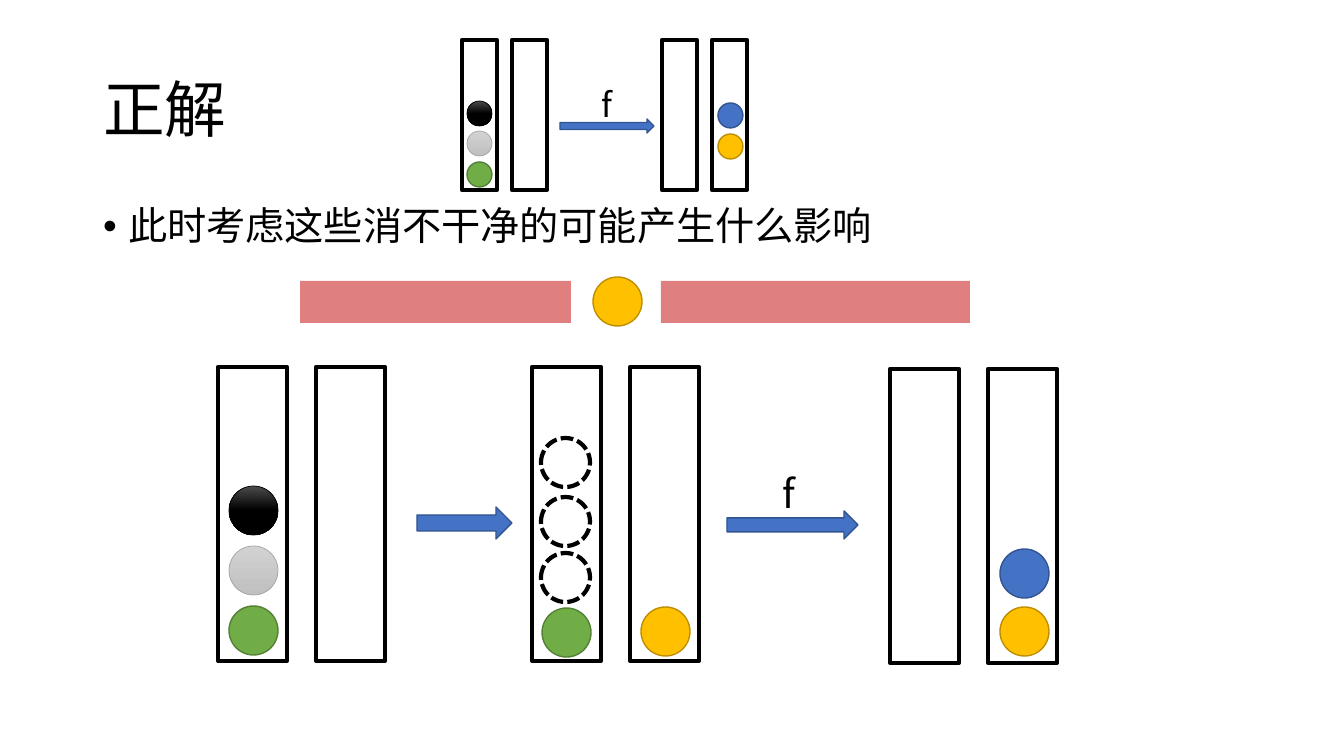
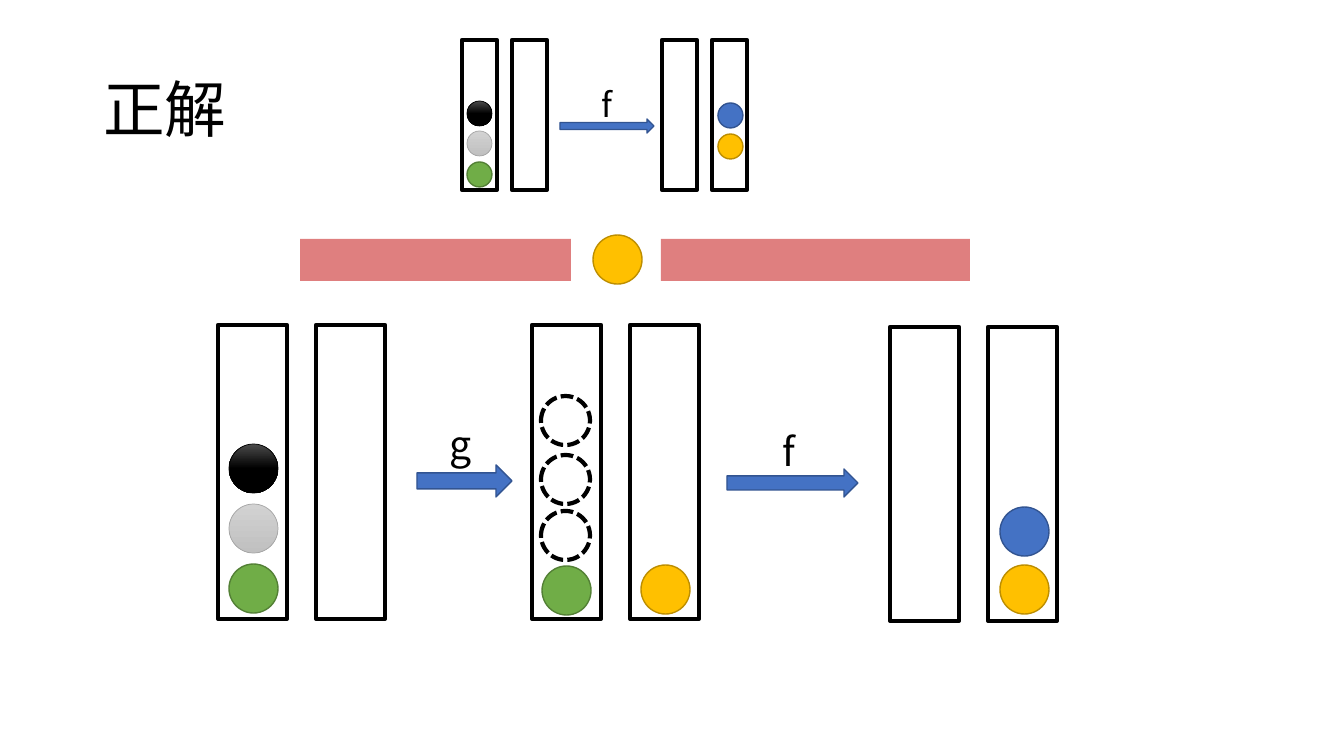
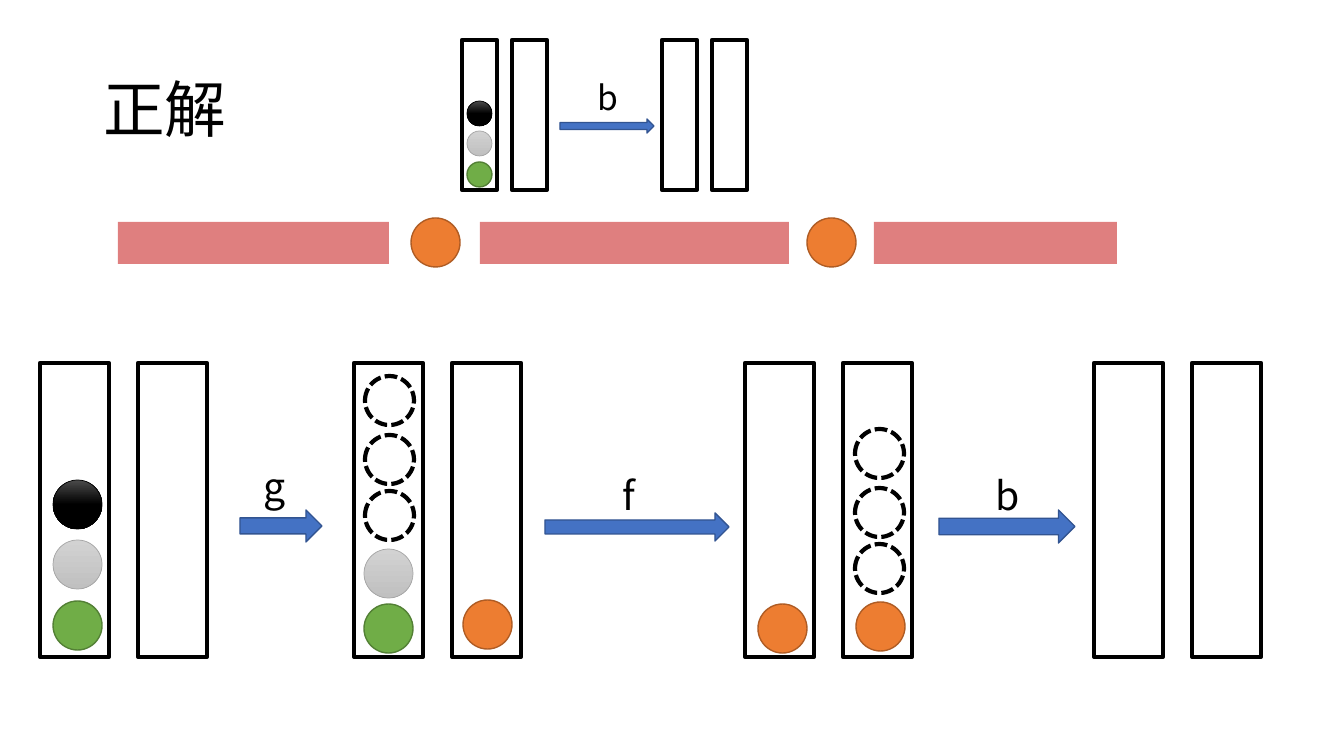
import pptx
import pptx.util
import pptx.dml.color
import pptx.enum.shapes
import pptx.enum.text
import pptx.oxml.ns
import lxml.etree

RGB = pptx.dml.color.RGBColor
KIND = pptx.enum.shapes.MSO_SHAPE
TEXT = pptx.enum.text

# Shared style
FONT = "Noto Sans CJK SC"
BLACK = RGB(0, 0, 0)
RED = RGB(0xC0, 0, 0)
BLUE = RGB(0x44, 0x72, 0xC4)
NAVY = RGB(0x32, 0x54, 0x91)
GREEN = RGB(0x70, 0xAD, 0x47)
MOSS = RGB(0x53, 0x80, 0x35)
GOLD = RGB(0xFF, 0xC0, 0)
BRONZE = RGB(0xBD, 0x8E, 0)
ORANGE = RGB(0xED, 0x7D, 0x31)
RUST = RGB(0xAF, 0x5C, 0x24)
PALE = RGB(0xD2, 0xD2, 0xD2)
SILVER = RGB(0xC0, 0xC0, 0xC0)
GRAY = RGB(0xA5, 0xA5, 0xA5)
COAL = RGB(0x4B, 0x4B, 0x4B)

# Ball looks: fill colours, end of the gradient, line colour, line width
BALLS = {
    "green": ([GREEN], 0, MOSS, 1),
    "gold": ([GOLD], 0, BRONZE, 1),
    "blue": ([BLUE], 0, NAVY, 1),
    "orange": ([ORANGE], 0, RUST, 1),
    "gray": ([PALE, SILVER], 1, GRAY, 0.5),
    "black": ([COAL, BLACK], 0.5, BLACK, 0.5),
    "ghost": ([], 0, BLACK, 3),
}
BALL = 49
TUBE = (69, 294)
GAP = 98
LABELS = {"f": 32, "g": 43, "b": 43}


def ghosts(x, y):
    return [("ghost", x, y - up) for up in (0, 56, 115)]


# Content: positions in a stage count from its left tube's top corner
TITLE = "正解"
POINT = "此时考虑这些消不干净的可能产生什么影响"
START = [("green", 11, 239), ("gray", 11, 179), ("black", 11, 119)]
STAGES = [
    (218, 0, START),
    (532, 0, [("gold", 109, 240), ("green", 10, 241)] + ghosts(9, 186)),
    (890, 2, [("gold", 110, 238), ("blue", 110, 180)]),
]
LONG = [
    (40, 0, [("green", 13, 238), ("gray", 13, 177), ("black", 13, 117)]),
    (354, 0, [("orange", 109, 237), ("green", 10, 241), ("gray", 10, 186)]
     + ghosts(11, 128)),
    (745, 0, [("orange", 13, 241), ("orange", 111, 239)] + ghosts(110, 181)),
    (1094, 0, []),
]
ARROWS = [(417, 140, 95, 32), (727, 144, 131, 28)]
BARS = [(300, 271), (661, 309)]
SCENES = [
    dict(point=POINT, goal=("f", 592, 79, 30), full=True,
         band=281, bars=BARS, dots=[("gold", 593)],
         top=367, stages=STAGES, arrows=ARROWS, names=[("f", 773, 97)]),
    dict(point=None, goal=("f", 592, 79, 30), full=True,
         band=239, bars=BARS, dots=[("gold", 593)],
         top=325, stages=STAGES, arrows=ARROWS,
         names=[("f", 773, 97), ("g", 440, 90)]),
    dict(point=None, goal=("b", 588, 72, 39), full=False,
         band=222, bars=[(118, 271), (480, 309), (874, 243)],
         dots=[("orange", 411), ("orange", 807)],
         top=363, stages=LONG,
         arrows=[(240, 147, 82, 32), (545, 150, 184, 28), (939, 147, 136, 33)],
         names=[("g", 254, 94), ("f", 613, 103), ("b", 986, 103)]),
]


def px(n):
    return round(n * 9144000 / 1008)


def style(par, size):
    for run in par.runs:
        run.font.size = pptx.util.Pt(size)
        run.font.color.rgb = BLACK
        run.font.name = FONT
        ea = lxml.etree.SubElement(run.font._element, pptx.oxml.ns.qn("a:ea"))
        ea.set("typeface", FONT)


def shape(home, kind, x, y, w, h):
    item = home.add_shape(kind, px(x), px(y), px(w), px(h))
    item.shadow.inherit = False
    return item


def edge(item, color, width):
    item.line.color.rgb = color
    item.line.width = pptx.util.Pt(width)


def tube(home, x, y, w, h):
    item = shape(home, KIND.RECTANGLE, x, y, w, h)
    item.fill.background()
    edge(item, BLACK, 3)


def ball(home, name, x, y, size=BALL):
    fills, end, color, width = BALLS[name]
    item = shape(home, KIND.OVAL, x, y, size, size)
    edge(item, color, width)
    if not fills:
        item.fill.background()
        item.line.dash_style = pptx.enum.dml.MSO_LINE.SQUARE_DOT
    elif len(fills) == 1:
        item.fill.solid()
        item.fill.fore_color.rgb = fills[0]
    else:
        item.fill.gradient()
        item.fill.gradient_angle = 270
        for stop, place, tone in zip(item.fill.gradient_stops, (0, end), fills):
            stop.position = place
            stop.color.rgb = tone


def arrow(home, x, y, w, h):
    item = shape(home, KIND.RIGHT_ARROW, x, y, w, h)
    item.fill.solid()
    item.fill.fore_color.rgb = BLUE
    edge(item, NAVY, 1)


def bar(home, x, y, w):
    item = shape(home, KIND.RECTANGLE, x, y, w, 42)
    item.fill.solid()
    item.fill.fore_color.rgb = RED
    item.line.fill.background()
    tone = item._element.spPr.find(".//" + pptx.oxml.ns.qn("a:srgbClr"))
    alpha = lxml.etree.SubElement(tone, pptx.oxml.ns.qn("a:alpha"))
    alpha.set("val", "50000")


def label(home, text, x, y, w, h, size):
    frame = home.add_textbox(px(x), px(y), px(w), px(h)).text_frame
    frame.word_wrap = False
    frame.auto_size = TEXT.MSO_AUTO_SIZE.SHAPE_TO_FIT_TEXT
    frame.text = text
    style(frame.paragraphs[0], size)


def fill_in(holder, text, box, size):
    holder.left, holder.top, holder.width, holder.height = map(px, box)
    holder.text_frame.text = text
    par = holder.text_frame.paragraphs[0]
    par.alignment = TEXT.PP_ALIGN.LEFT
    par.line_spacing = 0.9
    style(par, size)
    return par


def goal(home, full):
    for x in (462, 512, 662, 712):
        tube(home, x, 40, 35, 150)
    for name, y in (("green", 162), ("gray", 131), ("black", 101)):
        ball(home, name, 467, y, 25)
    if full:
        ball(home, "gold", 718, 134, 25)
        ball(home, "blue", 718, 103, 25)
    arrow(home, 560, 119, 94, 14)


deck = pptx.Presentation()
deck.slide_width, deck.slide_height = px(1344), px(756)

for scene in SCENES:
    # Title and list
    slide = deck.slides.add_slide(deck.slide_layouts[1 if scene["point"] else 5])
    home = slide.shapes
    fill_in(home.title, TITLE, (93, 40, 1159, 146), 44)
    home.title.text_frame.vertical_anchor = TEXT.MSO_ANCHOR.MIDDLE
    if scene["point"]:
        par = fill_in(slide.placeholders[1], scene["point"],
                      (93, 202, 1159, 480), 28)
        par.space_before = pptx.util.Pt(10)
        props = par._p.get_or_add_pPr()
        props.set("marL", "228600")
        props.set("indent", "-228600")

    # Small diagram of the goal
    goal(home.add_group_shape().shapes, scene["full"])
    text, x, y, w = scene["goal"]
    label(home, text, x, y, w, 50, 24)

    # Red band with its balls
    band = scene["band"]
    for x, w in scene["bars"]:
        bar(home, x, band, w)
    for name, x in scene["dots"]:
        ball(home, name, x, band - 4)

    # Stages, arrows and their names
    top = scene["top"]
    for left, drop, balls in scene["stages"]:
        for x in (left, left + GAP):
            tube(home, x, top + drop, *TUBE)
        for name, x, y in balls:
            ball(home, name, left + x, top + drop + y)
    for x, y, w, h in scene["arrows"]:
        arrow(home, x, top + y, w, h)
    for text, x, y in scene["names"]:
        label(home, text, x, top + y, LABELS[text], 57, 28)

deck.save("out.pptx")
